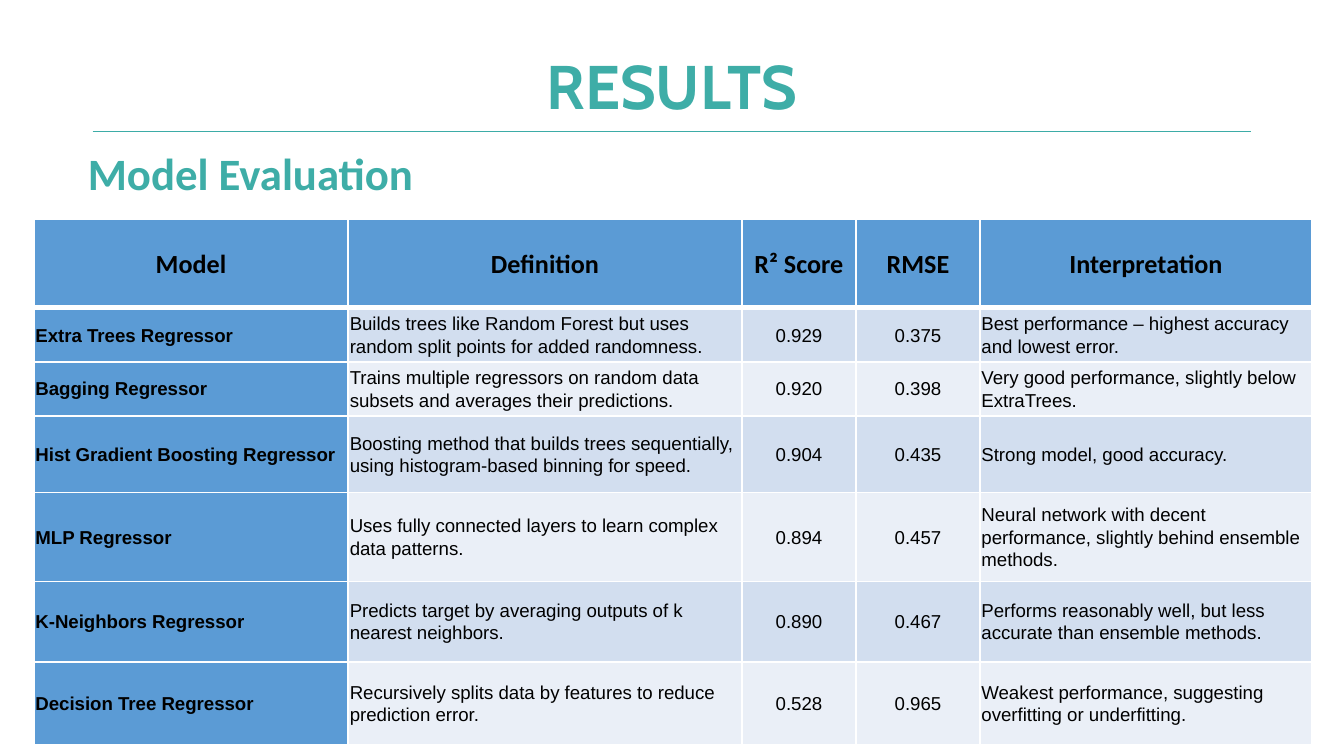
from lxml import etree
from pptx import Presentation
from pptx.dml.color import RGBColor
from pptx.enum.shapes import MSO_CONNECTOR
from pptx.enum.text import MSO_ANCHOR, PP_ALIGN
from pptx.oxml.ns import qn
from pptx.util import Cm, Pt

LEFT, CENTER = PP_ALIGN.LEFT, PP_ALIGN.CENTER
TOP, MIDDLE = MSO_ANCHOR.TOP, MSO_ANCHOR.MIDDLE
STRAIGHT = MSO_CONNECTOR.STRAIGHT

TEAL, RULE, BLUE, WHITE, BLACK = "3EADA7", "3DACA7", "5B9BD5", "FFFFFF", "000000"
BANDS = ("D2DEEF", "EAEFF7")
COL_SHARES = (5.94, 7.44, 2.16, 2.34, 6.28)
ROW_SHARES = (1.68, 1.02, 1.02, 1.45, 1.68, 1.52, 1.57)
CENTERED_COLS = (2, 3)
CELL_MARGIN = 0.03

HEADER = ("Model", "Definition", "R² Score", "RMSE", "Interpretation")
MODELS = (
    ("Extra Trees Regressor",
     "Builds trees like Random Forest but uses random split points for added randomness.",
     "0.929", "0.375", "Best performance – highest accuracy and lowest error."),
    ("Bagging Regressor",
     "Trains multiple regressors on random data subsets and averages their predictions.",
     "0.920", "0.398", "Very good performance, slightly below ExtraTrees."),
    ("Hist Gradient Boosting Regressor",
     "Boosting method that builds trees sequentially, using histogram-based binning for speed.",
     "0.904", "0.435", "Strong model, good accuracy."),
    ("MLP Regressor",
     "Uses fully connected layers to learn complex data patterns.",
     "0.894", "0.457",
     "Neural network with decent performance, slightly behind ensemble methods."),
    ("K-Neighbors Regressor",
     "Predicts target by averaging outputs of k nearest neighbors.",
     "0.890", "0.467",
     "Performs reasonably well, but less accurate than ensemble methods."),
    ("Decision Tree Regressor",
     "Recursively splits data by features to reduce prediction error.",
     "0.528", "0.965", "Weakest performance, suggesting overfitting or underfitting."),
)


def rgb(color):
    """Turn a hex string into a colour."""
    return RGBColor.from_string(color)


def write(tf, text, *, size, font, color=BLACK, bold=False, align=LEFT,
          spacing=None, after=None):
    """Write one formatted paragraph into a text frame."""
    tf.word_wrap = True
    p = tf.paragraphs[0]
    p.alignment = align
    if spacing is not None:
        p.line_spacing = spacing
    if after is not None:
        p.space_after = Pt(after)
    r = p.add_run()
    r.text = text
    r.font.size, r.font.name, r.font.bold = Pt(size), font, bold
    r.font.color.rgb = rgb(color)


def add_label(s, box, text, *, anchor, margins, **fmt):
    """Add a text box with its anchor and (side, vertical) margins."""
    tf = s.shapes.add_textbox(*map(Cm, box)).text_frame
    tf.vertical_anchor = anchor
    side, vertical = map(Cm, margins)
    tf.margin_left = tf.margin_right = side
    tf.margin_top = tf.margin_bottom = vertical
    write(tf, text, **fmt)


def add_title(s, box, text):
    """Add the slide title with a rule near the foot of its box."""
    x, y, w, h = box
    rule_y = y + h - 0.13
    line = s.shapes.add_connector(STRAIGHT, Cm(x), Cm(rule_y), Cm(x + w), Cm(rule_y))
    line.line.color.rgb = rgb(RULE)
    line.line.width = Pt(0.75)
    etree.SubElement(line._element.spPr, qn("a:effectLst"))
    add_label(s, box, text, anchor=MIDDLE, margins=(0.18, 0.1), size=33,
              font="Cabin", color=TEAL, bold=True, align=CENTER, spacing=0.9)


def add_subtitle(s, box, text):
    """Add the section heading."""
    add_label(s, box, text, anchor=TOP, margins=(0.64, 0.13), size=24,
              font="Calibri", color=TEAL, bold=True)


def set_borders(cell, **widths):
    """Draw white cell borders with the point width given for each side."""
    tcPr = cell._tc.get_or_add_tcPr()
    for side, width in widths.items():
        ln = etree.SubElement(tcPr, qn(f"a:ln{side}"), w=str(Pt(width)))
        fill = etree.SubElement(ln, qn("a:solidFill"))
        etree.SubElement(fill, qn("a:srgbClr"), val=WHITE)


def fill_cell(cell, text, row, col):
    """Format and fill one cell according to its row and column."""
    head = row == 0
    set_borders(cell, L=1, R=1, T=3 if row == 1 else 1, B=3 if head else 1)
    cell.fill.solid()
    cell.fill.fore_color.rgb = rgb(BLUE if head or col == 0 else BANDS[(row - 1) % 2])
    cell.vertical_anchor = MIDDLE
    cell.margin_left = cell.margin_right = Cm(CELL_MARGIN)
    cell.margin_top = cell.margin_bottom = Cm(CELL_MARGIN)
    write(cell.text_frame, text, size=14 if head else 10,
          font="Calibri" if head else "Arial", bold=head or col == 0,
          align=CENTER if head or col in CENTERED_COLS else LEFT,
          spacing=1.07, after=8)


def add_model_table(s, box, rows):
    """Add the model comparison table, sharing out the box's width and height."""
    w, h = box[2:]
    table = s.shapes.add_table(len(rows), len(rows[0]), *map(Cm, box)).table
    for column, share in zip(table.columns, COL_SHARES):
        column.width = Cm(w * share / sum(COL_SHARES))
    for table_row, share in zip(table.rows, ROW_SHARES):
        table_row.height = Cm(h * share / sum(ROW_SHARES))
    for i, texts in enumerate(rows):
        for j, text in enumerate(texts):
            fill_cell(table.cell(i, j), text, i, j)


def main():
    """Build the results slide."""
    prs = Presentation()
    prs.slide_width, prs.slide_height = Cm(25.4), Cm(14.29)
    s = prs.slides.add_slide(prs.slide_layouts[6])
    add_title(s, (1.75, 0.76, 21.9, 1.86), "RESULTS")
    add_model_table(s, (0.64, 4.14, 24.16, 9.94), (HEADER, *MODELS))
    add_subtitle(s, (1.02, 2.62, 10.49, 1.27), "Model Evaluation")
    prs.save("out.pptx")


if __name__ == "__main__":
    main()
